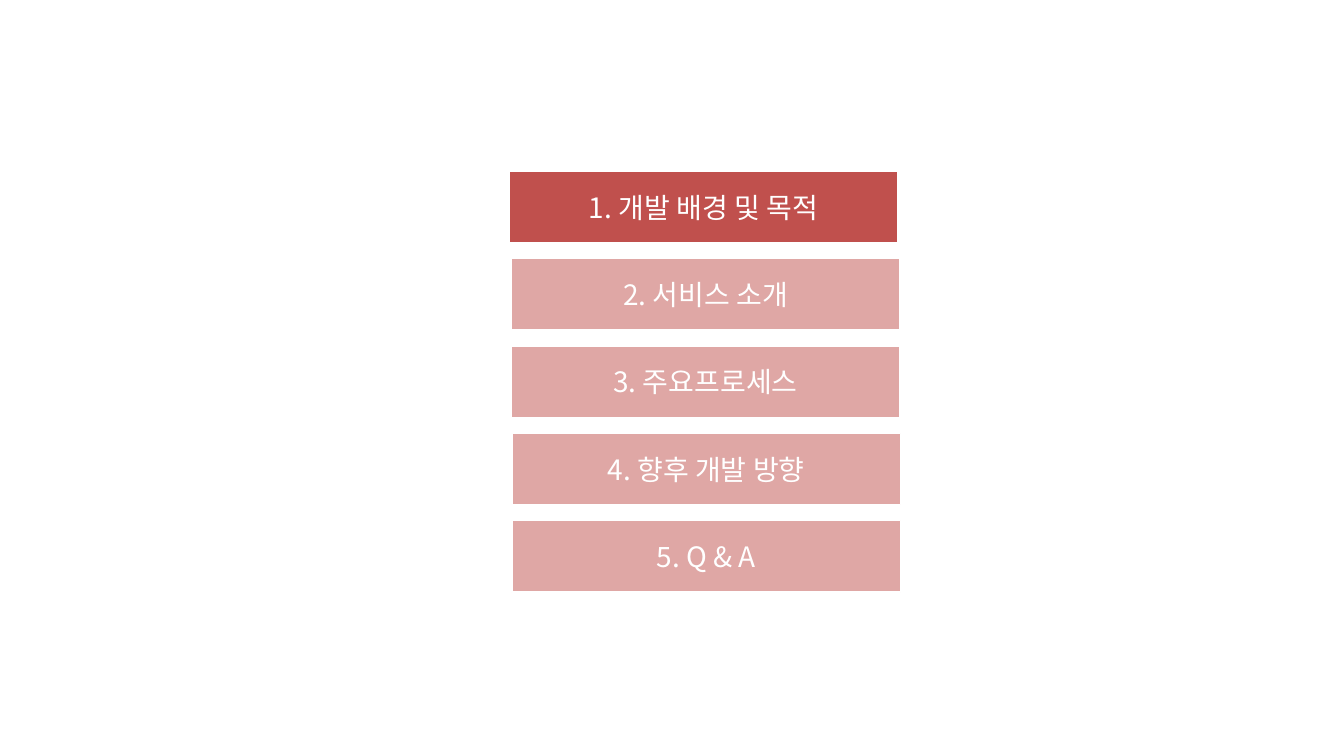
from dataclasses import dataclass

from lxml import etree
from pptx import Presentation
from pptx.dml.color import RGBColor
from pptx.enum.shapes import MSO_SHAPE
from pptx.enum.text import MSO_ANCHOR, PP_ALIGN
from pptx.oxml.ns import qn
from pptx.shapes.autoshape import Shape
from pptx.shapes.group import GroupShape
from pptx.text.text import _Paragraph as Paragraph
from pptx.util import Cm, Pt

RECTANGLE = MSO_SHAPE.RECTANGLE
MIDDLE = MSO_ANCHOR.MIDDLE
CENTER = PP_ALIGN.CENTER
BLANK_LAYOUT = 6


@dataclass(frozen=True)
class Theme:
    accent: RGBColor = RGBColor(0xC0, 0x50, 0x4D)
    white: RGBColor = RGBColor(0xFF, 0xFF, 0xFF)
    font: str = "Noto Sans CJK KR"
    text_size: Pt = Pt(20)
    outline: Pt = Pt(1)
    inactive_opacity: int = 50


@dataclass(frozen=True)
class AgendaItem:
    text: str
    left: float
    active: bool = False


THEME = Theme()
FIRST_TOP, PITCH = 4.32, 2.2
BAR_WIDTH, BAR_HEIGHT = 9.8, 1.8

AGENDA = (
    AgendaItem("1. 개발 배경 및 목적", 12.83, active=True),
    AgendaItem("2. 서비스 소개", 12.88),
    AgendaItem("3. 주요프로세스", 12.88),
    AgendaItem("4. 향후 개발 방향", 12.9),
    AgendaItem("5. Q & A", 12.9),
)


def set_fill_opacity(shape: Shape, percent: int) -> None:
    color = shape.fill._xPr.find(qn("a:solidFill"))[0]
    etree.SubElement(color, qn("a:alpha"), val=str(percent * 1000))


def format_label(paragraph: Paragraph) -> None:
    """Centre the label and set its Latin and East Asian fonts."""
    paragraph.alignment = CENTER
    font = paragraph.font
    font.size = THEME.text_size
    font.color.rgb = THEME.white
    font.name = THEME.font
    properties = paragraph._p.pPr.find(qn("a:defRPr"))
    etree.SubElement(properties, qn("a:ea"), typeface=THEME.font)


def add_agenda_bar(group: GroupShape, item: AgendaItem, top: float) -> None:
    shape = group.shapes.add_shape(
        RECTANGLE, Cm(item.left), Cm(top), Cm(BAR_WIDTH), Cm(BAR_HEIGHT)
    )
    shape.shadow.inherit = False
    shape.fill.solid()
    shape.fill.fore_color.rgb = THEME.accent
    if not item.active:
        set_fill_opacity(shape, THEME.inactive_opacity)
    shape.line.color.rgb = THEME.white
    shape.line.width = THEME.outline

    text_frame = shape.text_frame
    text_frame.word_wrap = True
    text_frame.vertical_anchor = MIDDLE
    text_frame.text = item.text
    format_label(text_frame.paragraphs[0])


def main() -> None:
    presentation = Presentation()
    presentation.slide_width = Cm(33.87)
    presentation.slide_height = Cm(19.05)
    slide = presentation.slides.add_slide(presentation.slide_layouts[BLANK_LAYOUT])
    agenda = slide.shapes.add_group_shape()
    for index, item in enumerate(AGENDA):
        add_agenda_bar(agenda, item, FIRST_TOP + index * PITCH)
    presentation.save("out.pptx")


if __name__ == "__main__":
    main()
